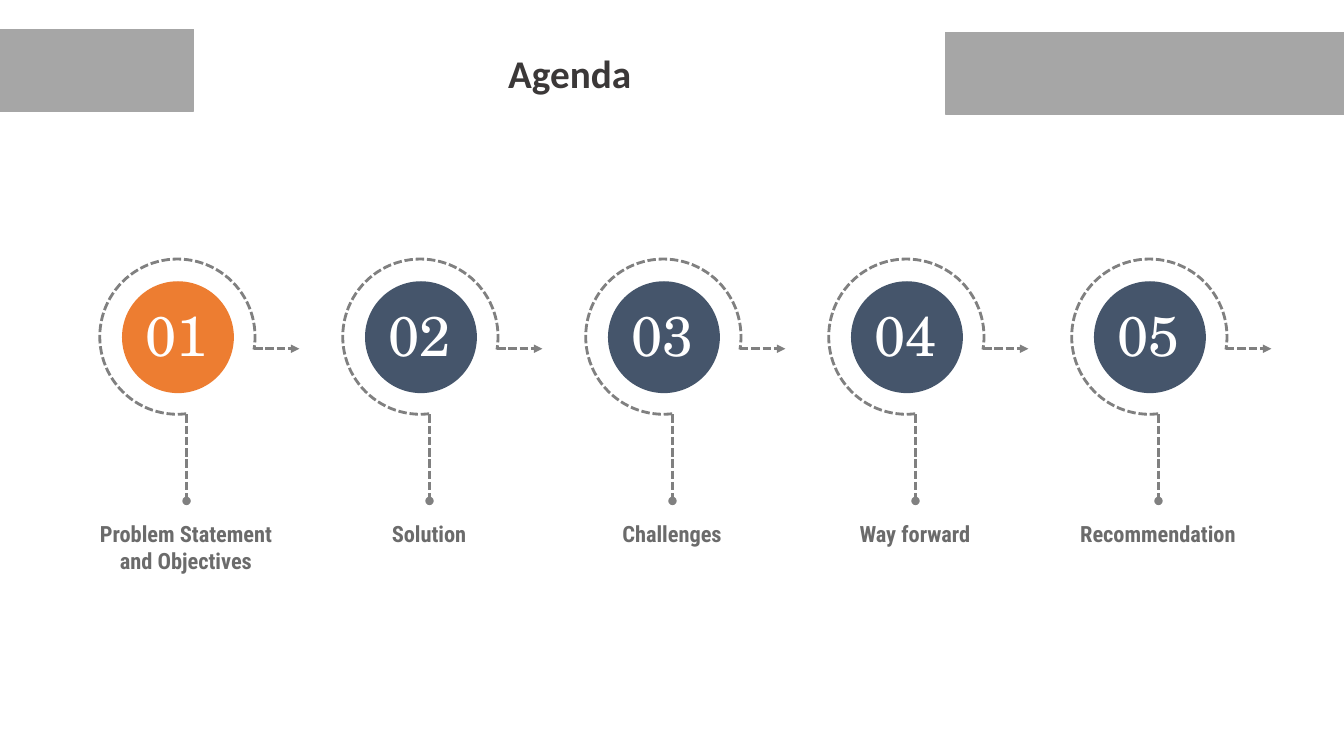
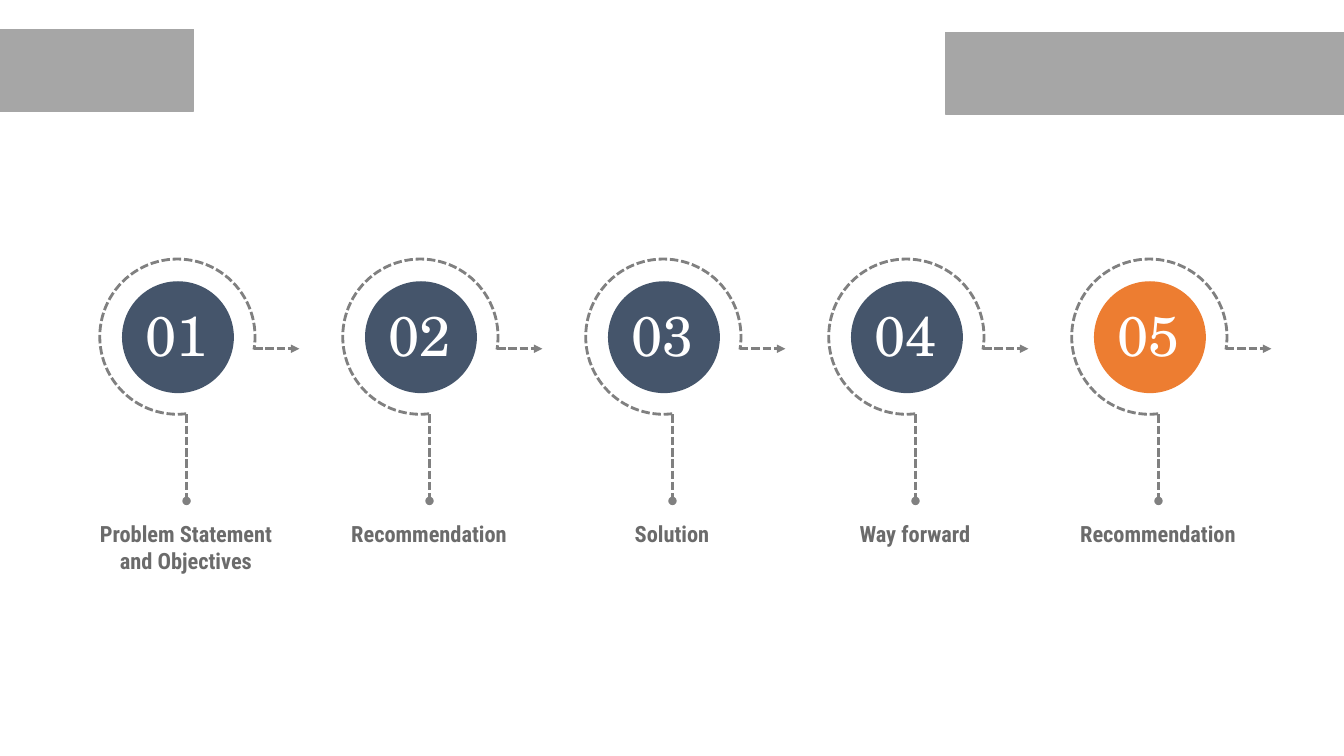
from lxml import etree
from pptx import Presentation
from pptx.dml.color import RGBColor
from pptx.enum import dml, shapes, text
from pptx.oxml import ns
from pptx.util import Inches, Pt

BAND, TRACK, ACTIVE, IDLE = "A6A6A6", "808080", "ED7D31", "45556B"
TITLE_FONT = {"name": "Calibri", "size": Pt(28), "bold": True, "color": "3B3838"}
LABEL_FONT = {"name": "Roboto Condensed", "size": Pt(16), "bold": True, "color": "6B6B6B"}
NUMBER_FONT = {"name": "TeX Gyre Schola", "size": Pt(40), "bold": False, "color": "FFFFFF"}

BANDS = [(0, 0.29, 1.92, 0.81), (9.38, 0.32, 3.95, 0.81)]
STEP_LEFT, STEP_PITCH = 0.68, 2.41

# Title, step labels and highlighted step of each slide
AGENDAS = [
    ("Agenda",
     ["Problem Statement\nand Objectives", "Solution", "Challenges",
      "Way forward", "Recommendation"], 1),
    (None,
     ["Problem Statement\nand Objectives", "Recommendation", "Solution",
      "Way forward", "Recommendation"], 5),
]


def rgb(hex_color):
    return RGBColor.from_string(hex_color)


def write(frame, words, style):
    frame.text = words
    for paragraph in frame.paragraphs:
        paragraph.alignment = text.PP_ALIGN.CENTER
        for key, value in style.items():
            if key == "color":
                paragraph.font.color.rgb = rgb(value)
            else:
                setattr(paragraph.font, key, value)


prs = Presentation()
prs.slide_width, prs.slide_height = Inches(13.33), Inches(7.5)
title_only, blank = prs.slide_layouts[5], prs.slide_layouts[6]

for heading, labels, active_step in AGENDAS:
    slide = prs.slides.add_slide(title_only if heading else blank)

    # Bands either side of the title
    for box in BANDS:
        band = slide.shapes.add_shape(shapes.MSO_SHAPE.RECTANGLE, *map(Inches, box))
        band.shadow.inherit = False
        band.fill.solid()
        band.fill.fore_color.rgb = rgb(BAND)
        band.line.color.rgb = rgb(BAND)
        band.line.width = Pt(1)

    # Title
    if heading:
        title = slide.shapes.title
        title.left, title.top, title.width, title.height = map(Inches, (1.92, 0.32, 7.46, 0.81))
        title.text_frame.vertical_anchor = text.MSO_ANCHOR.MIDDLE
        write(title.text_frame, heading, TITLE_FONT)

    # Steps, one group each
    for number, label in enumerate(labels, 1):
        left = STEP_LEFT + (number - 1) * STEP_PITCH
        step = slide.shapes.add_group_shape().shapes

        # Disc
        disc = step.add_shape(shapes.MSO_SHAPE.FLOWCHART_CONNECTOR, Inches(left + 0.53),
                              Inches(2.79), Inches(1.11), Inches(1.11))
        disc.shadow.inherit = False
        disc.fill.solid()
        disc.fill.fore_color.rgb = rgb(ACTIVE if number == active_step else IDLE)
        disc.line.fill.background()

        # Dashed ring, open at the lower right
        ring = step.add_shape(shapes.MSO_SHAPE.ARC, Inches(left + 0.31), Inches(2.57),
                              Inches(1.54), Inches(1.54))
        ring.shadow.inherit = False
        ring.fill.background()
        ring.adjustments[0], ring.adjustments[1] = 50.09, 5.77
        dashed = [ring]

        # Arrow to the next step and stem down to the label
        for x1, y1, x2, y2, head in [(1.84, 3.46, 2.29, 3.46, "triangle"),
                                     (1.17, 4.11, 1.17, 4.97, "oval")]:
            link = step.add_connector(shapes.MSO_CONNECTOR.STRAIGHT, Inches(left + x1),
                                      Inches(y1), Inches(left + x2), Inches(y2))
            etree.SubElement(link.line._get_or_add_ln(), ns.qn("a:tailEnd"), type=head)
            etree.SubElement(link._element.spPr, ns.qn("a:effectLst"))
            dashed.append(link)
        for part in dashed:
            part.line.color.rgb = rgb(TRACK)
            part.line.width = Pt(2)
            part.line.dash_style = dml.MSO_LINE.SQUARE_DOT

        # Number and label
        for words, style, x, y, width, height, wrap in [
                (f"{number:02}", NUMBER_FONT, 0.65, 2.93, 0.85, 0.77, False),
                (label, LABEL_FONT, 0, 5.11, 2.33, 0.37 + 0.27 * label.count("\n"), True)]:
            caption = step.add_textbox(Inches(left + x), Inches(y), Inches(width), Inches(height))
            caption.text_frame.word_wrap = wrap
            caption.text_frame.auto_size = text.MSO_AUTO_SIZE.SHAPE_TO_FIT_TEXT
            write(caption.text_frame, words, style)

prs.save("out.pptx")
